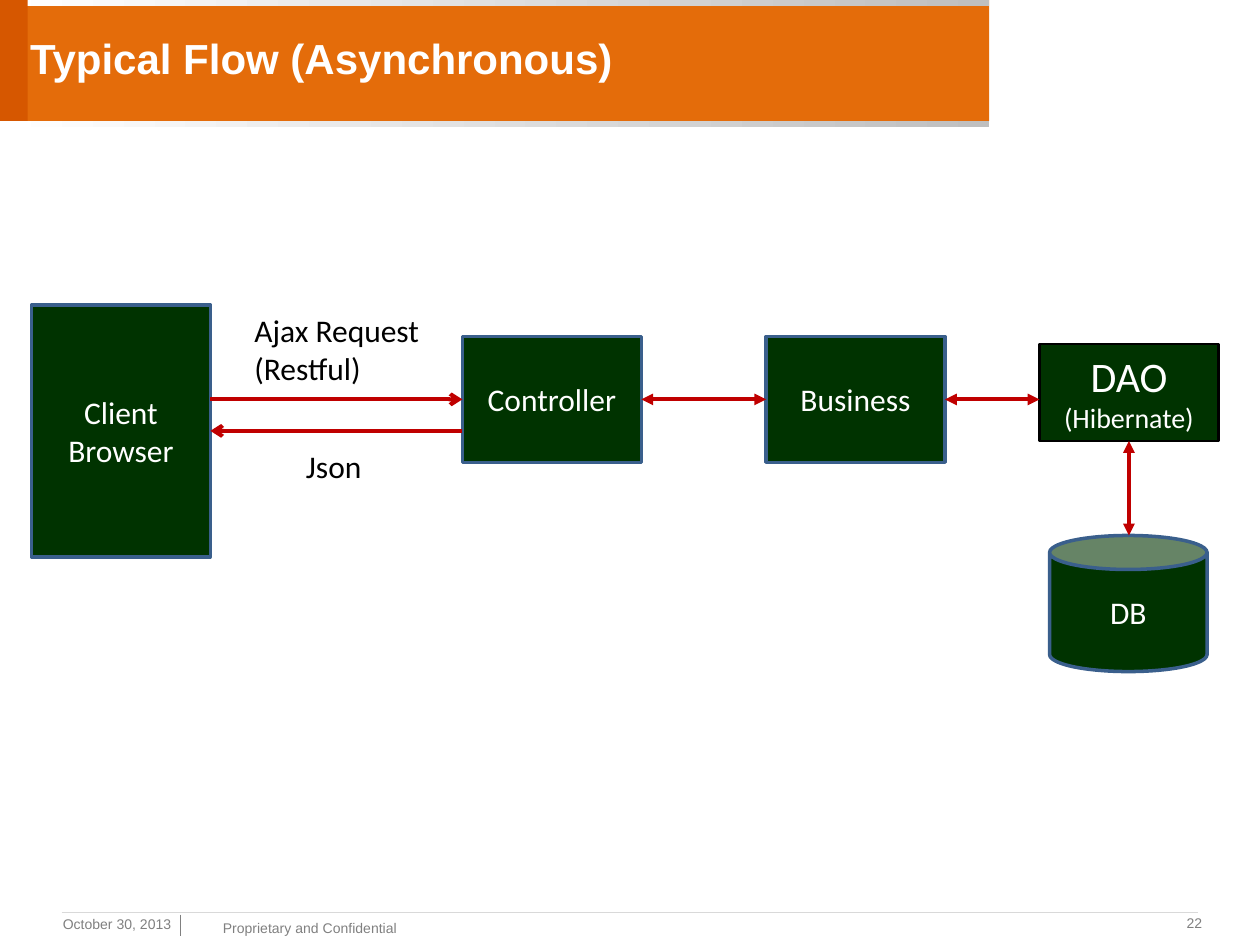
from lxml import etree
from pptx import Presentation
from pptx.dml.color import RGBColor
from pptx.enum.shapes import MSO_CONNECTOR, MSO_SHAPE as Shape
from pptx.enum.text import MSO_ANCHOR as Anchor, MSO_AUTO_SIZE as AutoSize, PP_ALIGN as Align
from pptx.oxml.ns import qn
from pptx.util import Inches, Pt

ORANGE = RGBColor(0xE4, 0x6C, 0x0A)
DARK_ORANGE = RGBColor(0xD6, 0x57, 0x00)
GREEN = RGBColor(0x00, 0x33, 0x00)
BLUE = RGBColor(0x3A, 0x5F, 0x8C)
RED = RGBColor(0xC0, 0x00, 0x00)
BLACK = RGBColor(0x00, 0x00, 0x00)
WHITE = RGBColor(0xFF, 0xFF, 0xFF)
GRAY = RGBColor(0x80, 0x80, 0x80)
SILVER = RGBColor(0xBF, 0xBF, 0xBF)
PALE = RGBColor(0xD9, 0xD9, 0xD9)

BANNER_W, BANNER_H, EDGE_H = 7.85, 0.96, 0.05
BOX_W = 1.42
REQUEST_Y, RESPONSE_Y = 3.17, 3.42


def write_text(shape, text, sizes=(18,), font="Calibri", color=BLACK, bold=False,
               align=Align.LEFT, anchor=Anchor.TOP, wrap=True, grow=False):
    """Fill a shape with one paragraph per line; the last size repeats."""
    frame = shape.text_frame
    frame.text = text
    frame.word_wrap = wrap
    frame.vertical_anchor = anchor
    frame.auto_size = AutoSize.SHAPE_TO_FIT_TEXT if grow else AutoSize.NONE
    for i, paragraph in enumerate(frame.paragraphs):
        paragraph.alignment = align
        run_font = paragraph.runs[0].font
        run_font.name = font
        run_font.size = Pt(sizes[min(i, len(sizes) - 1)])
        run_font.bold = bold
        run_font.color.rgb = color


def add_label(slide, text, left, top, width, height, **text_format):
    label = slide.shapes.add_textbox(Inches(left), Inches(top), Inches(width), Inches(height))
    write_text(label, text, **text_format)


def add_block(slide, left, top, width, height, fill, kind=Shape.RECTANGLE):
    block = slide.shapes.add_shape(kind, Inches(left), Inches(top), Inches(width), Inches(height))
    block.shadow.inherit = False
    block.fill.solid()
    block.fill.fore_color.rgb = fill
    block.line.fill.background()
    return block


def add_banner_edge(slide, top):
    edge = add_block(slide, 0, top, BANNER_W, EDGE_H, SILVER)
    edge.rotation = 180
    edge.fill.gradient()
    edge.fill.gradient_angle = 0
    for stop, color in zip(edge.fill.gradient_stops, (SILVER, WHITE)):
        stop.color.rgb = color


def add_node(slide, text, left, top, width, height, kind=Shape.RECTANGLE,
             border=BLUE, border_width=2, **text_format):
    node = add_block(slide, left, top, width, height, GREEN, kind)
    node.line.color.rgb = border
    node.line.width = Pt(border_width)
    write_text(node, text, color=WHITE, align=Align.CENTER,
               **{"anchor": Anchor.MIDDLE, **text_format})
    return node


def add_line(slide, start, end, color=RED, width=2.25, head=None, tail=None,
             begin=None, finish=None):
    """Draw a line; begin and finish are (shape, side) pairs to join."""
    line = slide.shapes.add_connector(MSO_CONNECTOR.STRAIGHT, *map(Inches, start + end))
    line.line.color.rgb = color
    line.line.width = Pt(width)
    if begin:
        line.begin_connect(*begin)
    if finish:
        line.end_connect(*finish)
    outline = line.line._get_or_add_ln()
    for tag, arrow in (("a:headEnd", head), ("a:tailEnd", tail)):
        if arrow:
            etree.SubElement(outline, qn(tag)).set("type", arrow)
    etree.SubElement(line._element.spPr, qn("a:effectLst"))


def add_banner(slide):
    add_block(slide, 0, 0, BANNER_W, BANNER_H, ORANGE)
    for top in (0, BANNER_H):
        add_banner_edge(slide, top)
    add_block(slide, 0, 0, 0.22, BANNER_H, DARK_ORANGE)
    add_label(slide, "Typical Flow (Asynchronous)", 0.14, 0.07, 7.69, 0.78, sizes=(24,),
              font="Arial", color=WHITE, bold=True, anchor=Anchor.MIDDLE)


def add_footer(slide):
    small = dict(sizes=(8,), font="Arial", color=GRAY)
    add_label(slide, "22", 9.31, 7.21, 0.34, 0.24, align=Align.CENTER,
              wrap=False, grow=True, **small)
    add_label(slide, "Proprietary and Confidential", 1.67, 7.25, 1.63, 0.24,
              wrap=False, grow=True, **small)
    add_label(slide, "October 30, 2013", 0.4, 7.22, 1.33, 0.25, **small)
    add_line(slide, (1.43, 7.26), (1.43, 7.43), GRAY, 0.75)
    add_line(slide, (0.49, 7.24), (9.51, 7.24), PALE, 0.25)


def add_flow(slide):
    # Components
    client = add_node(slide, "Client\nBrowser", 0.25, 2.42, BOX_W, 2)
    controller = add_node(slide, "Controller", 3.67, 2.67, BOX_W, 1)
    business = add_node(slide, "Business", 6.08, 2.67, BOX_W, 1)
    dao = add_node(slide, "DAO\n(Hibernate)", 8.25, 2.73, BOX_W, 0.77, border=BLACK,
                   border_width=1.5, sizes=(24, 16), anchor=Anchor.TOP, grow=True)
    add_node(slide, "DB", 8.33, 4.25, 1.25, 1.08, kind=Shape.CAN)

    # Request and response
    add_line(slide, (1.67, REQUEST_Y), (3.67, REQUEST_Y), tail="arrow", finish=(controller, 1))
    add_line(slide, (3.67, RESPONSE_Y), (1.67, RESPONSE_Y), tail="arrow", finish=(client, 3))
    add_label(slide, "Ajax Request (Restful)", 1.92, 2.42, 1.58, 0.71, grow=True)
    add_label(slide, "Json", 2.33, 3.5, 1.08, 0.4, grow=True)

    # Two-way calls between the layers
    both = dict(head="triangle", tail="triangle")
    add_line(slide, (5.08, REQUEST_Y), (6.08, REQUEST_Y),
             begin=(controller, 3), finish=(business, 1), **both)
    add_line(slide, (7.5, REQUEST_Y), (8.25, REQUEST_Y), begin=(business, 3), **both)
    add_line(slide, (8.96, 3.5), (8.96, 4.25), begin=(dao, 2), **both)


def main():
    deck = Presentation()
    deck.slide_width, deck.slide_height = Inches(10), Inches(7.5)
    slide = deck.slides.add_slide(deck.slide_layouts[6])
    add_banner(slide)
    add_footer(slide)
    add_flow(slide)
    deck.save("out.pptx")


if __name__ == "__main__":
    main()
